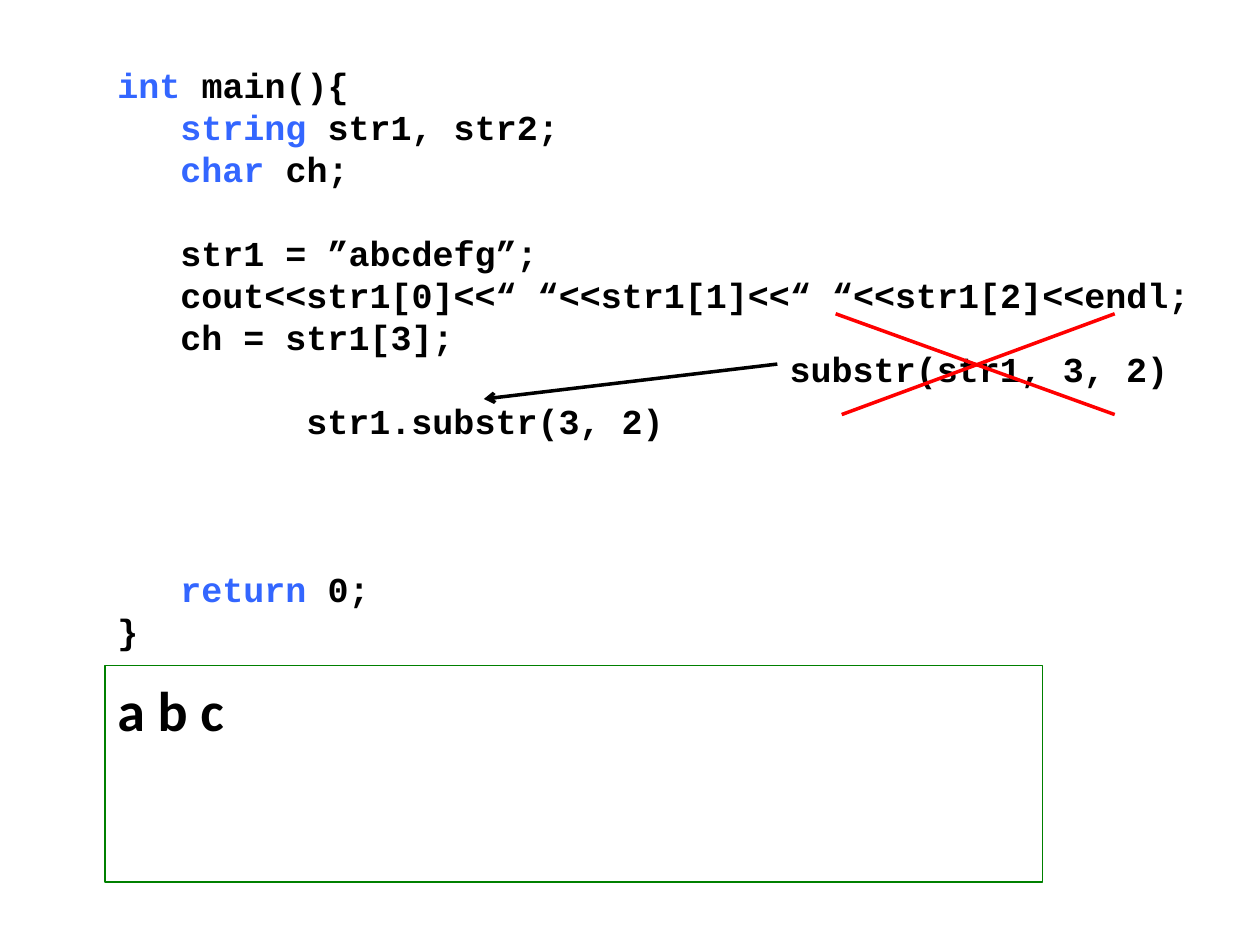
from dataclasses import dataclass

from lxml.etree import SubElement
from pptx import Presentation
from pptx.dml.color import RGBColor
from pptx.enum.shapes import MSO_CONNECTOR as CONN, MSO_SHAPE as SHAPE
from pptx.enum.text import MSO_ANCHOR as ANCHOR, PP_ALIGN as ALIGN
from pptx.oxml.ns import qn
from pptx.util import Pt

COLORS = {"text": "000000", "keyword": "3366FF", "cross": "FF0000", "frame": "008000"}
CODE_FONT, CODE_SIZE, LINE_HEIGHT = "Courier New", 20, 24
INDENT = 36


@dataclass
class CodeLine:
    text: str
    keyword: str = ""
    level: int = 1
    blank_before: int = 0


@dataclass
class Stroke:
    start: tuple[float, float]
    end: tuple[float, float]
    color: str


CODE = [
    CodeLine(" main(){", "int", level=0),
    CodeLine(" str1, str2;", "string"),
    CodeLine(" ch;", "char"),
    CodeLine("str1 = ”abcdefg”;", blank_before=1),
    CodeLine("cout<<str1[0]<<“ “<<str1[1]<<“ “<<str1[2]<<endl;"),
    CodeLine("ch = str1[3];"),
    CodeLine("str1.substr(3, 2)", level=3, blank_before=1),
    CodeLine(" 0;", "return", blank_before=3),
    CodeLine("}", level=0),
]
CROSS = [
    Stroke((477.5, 179.3), (637, 236.9), "cross"),
    Stroke((481, 236.9), (637, 179.3), "cross"),
]
ARROW = Stroke((444.2, 208), (276.5, 228), "text")


def rgb(name: str) -> RGBColor:
    return RGBColor.from_string(COLORS[name])


def add_run(p, text: str, color: str = "text", font: str = CODE_FONT,
            size: float = CODE_SIZE) -> None:
    r = p.add_run()
    r.text = text
    r.font.name, r.font.size, r.font.bold = font, Pt(size), True
    r.font.color.rgb = rgb(color)


def add_code(s, box: tuple[float, ...], lines: list[CodeLine]):
    sp = s.shapes.add_textbox(*map(Pt, box))
    tf = sp.text_frame
    tf.word_wrap = True
    tf.margin_top = Pt(6.6)
    for i, line in enumerate(lines):
        p = tf.add_paragraph() if i else tf.paragraphs[0]
        p.line_spacing = Pt(LINE_HEIGHT)
        p.space_before = Pt(line.blank_before * LINE_HEIGHT)
        p._p.get_or_add_pPr().set("marL", str(Pt(line.level * INDENT)))
        if line.keyword:
            add_run(p, line.keyword, "keyword")
        add_run(p, line.text)
    return sp


def add_output(s, box: tuple[float, ...], text: str) -> None:
    """Draw the framed program output."""
    sp = s.shapes.add_shape(SHAPE.RECTANGLE, *map(Pt, box))
    sp.shadow.inherit = False
    sp.fill.background()
    sp.line.color.rgb = rgb("frame")
    sp.line.width = Pt(0.75)
    tf = sp.text_frame
    tf.vertical_anchor = ANCHOR.TOP
    tf.margin_top = Pt(5.6)
    p = tf.paragraphs[0]
    p.alignment = ALIGN.LEFT
    add_run(p, text, font="Calibri", size=32)


def add_stroke(s, stroke: Stroke):
    line = s.shapes.add_connector(CONN.STRAIGHT, *map(Pt, stroke.start + stroke.end))
    line.line.color.rgb = rgb(stroke.color)
    line.line.width = Pt(2)
    SubElement(line._element.spPr, qn("a:effectLst"))
    return line


def main() -> None:
    prs = Presentation()
    prs.slide_width, prs.slide_height = Pt(720), Pt(540)
    s = prs.slides.add_slide(prs.slide_layouts[6])

    add_code(s, (60, 29.5, 669.6, 346.3), CODE)
    add_output(s, (60, 380.2, 535.7, 123.8), "a b c")
    label = add_code(s, (444.2, 192.2, 232.6, 31.7),
                     [CodeLine("substr(str1, 3, 2)", level=0)])
    for stroke in CROSS:
        add_stroke(s, stroke)
    arrow = add_stroke(s, ARROW)
    arrow.begin_connect(label, 1)
    SubElement(arrow.line._get_or_add_ln(), qn("a:tailEnd"), type="arrow")

    prs.save("out.pptx")


if __name__ == "__main__":
    main()
